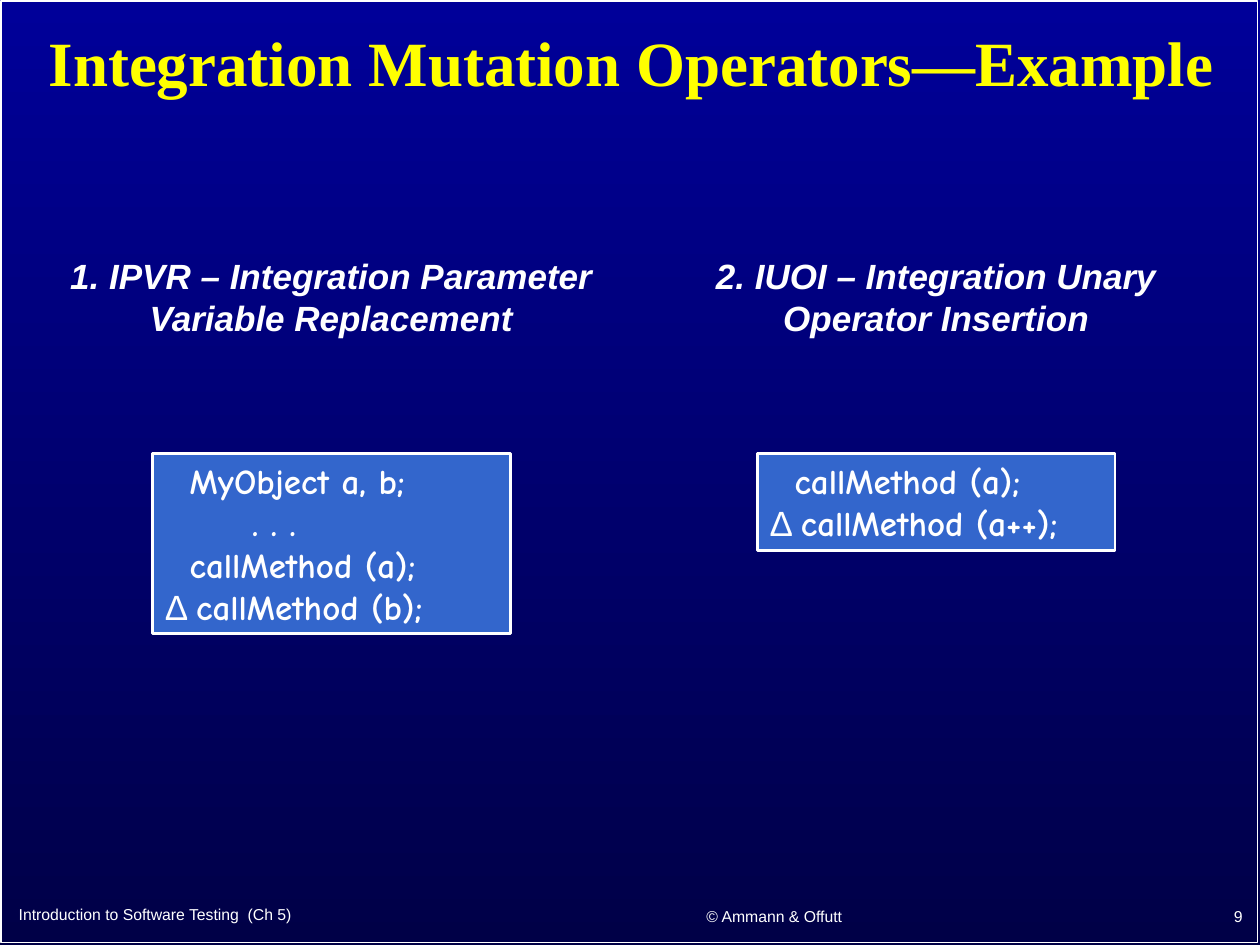
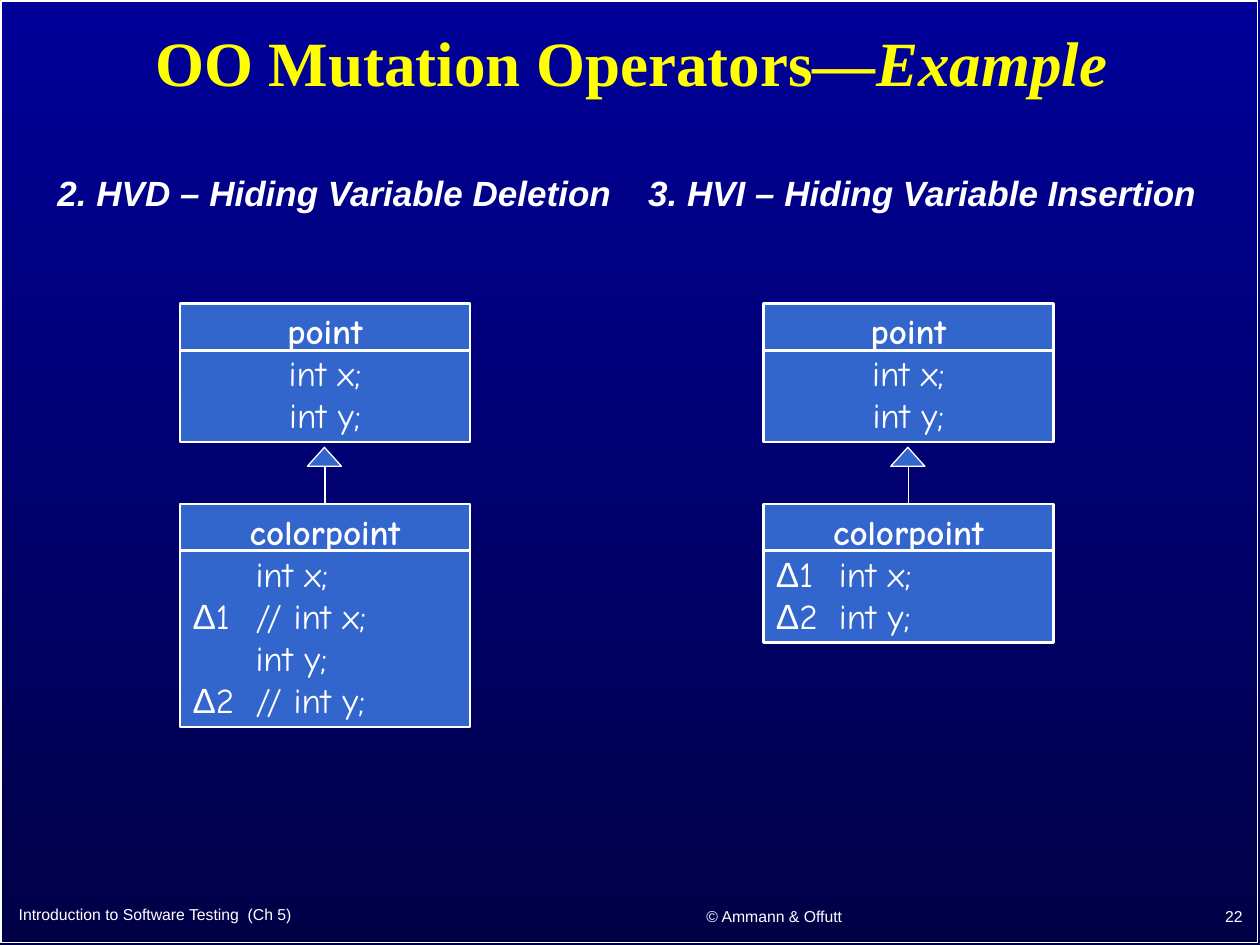
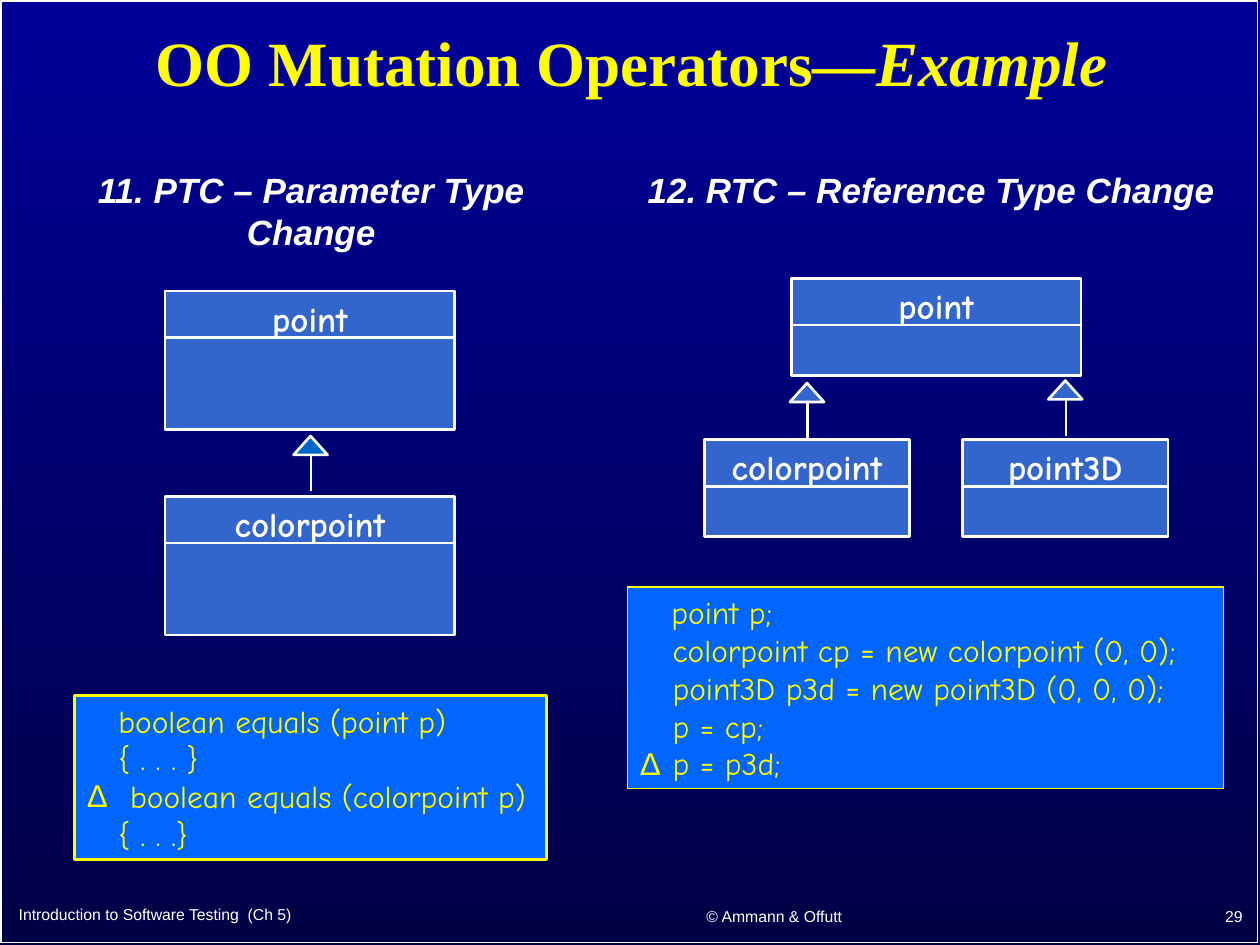
from typing import NamedTuple

from lxml.etree import SubElement
from pptx import Presentation
from pptx.dml.color import RGBColor
from pptx.enum.shapes import MSO_CONNECTOR, MSO_SHAPE
from pptx.enum.text import MSO_ANCHOR, PP_ALIGN
from pptx.oxml.ns import qn
from pptx.util import Inches, Pt

WHITE, YELLOW = "FFFFFF", "FFFF00"
BLUE, BRIGHT, SEA = "3366CC", "0066FF", "0066CC"
TOP, BOTTOM = "000099", "000047"
SANS, SERIF, COMIC = "Arial", "Times New Roman", "Comic Neue"
ALIGN = {"l": PP_ALIGN.LEFT, "c": PP_ALIGN.CENTER, "r": PP_ALIGN.RIGHT}


class Area(NamedTuple):
    x: float
    y: float
    w: float
    h: float


class Label(NamedTuple):
    text: str
    area: Area
    wrap: bool = True


class Class(NamedTuple):
    """A class box: a name over a rule, with members below."""
    name: str
    x: float
    y: float
    rows: int
    w: float = 2.3
    members: tuple = ()
    align: str = "c"


class Arrow(NamedTuple):
    """An inheritance arrow, placed by its tip."""
    x: float
    y: float
    fill: str = BLUE
    weight: float = 1.5


class Code(NamedTuple):
    x: float
    y: float
    w: float
    lines: tuple
    size: int = 20
    bold: bool = False
    color: str = WHITE
    fill: str = BLUE
    weight: float = 1.5
    bullet: int = -1


class Page(NamedTuple):
    title: str
    slant: str
    number: int
    labels: tuple
    classes: tuple = ()
    arrows: tuple = ()
    codes: tuple = ()


def rgb(color: str) -> RGBColor:
    return RGBColor.from_string(color)


def place(area: Area) -> list:
    return [Inches(round(side, 2)) for side in area]


def height(rows: int, size: int) -> float:
    return 0.1 + rows * size / 60


def form(slide, kind, area: Area, fill: str = "", line: str = WHITE, weight: float = 1.5):
    shape = slide.shapes.add_shape(kind, *place(area))
    shape.shadow.inherit = False
    if fill:
        shape.fill.solid()
        shape.fill.fore_color.rgb = rgb(fill)
    else:
        shape.fill.background()
    shape.line.color.rgb = rgb(line)
    shape.line.width = Pt(weight)
    return shape


def rule(slide, x: float, y: float, w: float = 0, h: float = 0, weight: float = 1.5) -> None:
    line = slide.shapes.add_connector(
        MSO_CONNECTOR.STRAIGHT, *place(Area(x, y, x + w, y + h)))
    line.line.color.rgb = rgb(WHITE)
    line.line.width = Pt(weight)
    SubElement(line._element.spPr, qn("a:effectLst"))


def mark(para, bullet: str, tab: float) -> None:
    """Add a hanging bullet or a tab stop to a paragraph."""
    props = para._p.get_or_add_pPr()
    if bullet:
        props.set("marL", str(Inches(tab)))
        props.set("indent", str(-Inches(tab)))
        SubElement(props, qn("a:buFont"), typeface=SANS)
        SubElement(props, qn("a:buChar"), char=bullet)
    elif tab:
        stops = SubElement(props, qn("a:tabLst"))
        SubElement(stops, qn("a:tab"), pos=str(Inches(tab)), algn="l")


def add(para, text: str, *, size: float, font: str, color: str,
        bold: bool = False, italic: bool = False) -> None:
    run = para.add_run()
    run.text = text
    run.font.size = Pt(size)
    run.font.name = font
    run.font.color.rgb = rgb(color)
    run.font.bold = bold
    run.font.italic = italic


def write(shape, *lines: str, size: float = 20, font: str = COMIC, color: str = WHITE,
          bold: bool = False, italic: bool = False, align: str = "l", head: bool = False,
          slant: str = "", tab: float = 0, bullet: int = -1, middle: bool = False,
          wrap: bool = True, space: float = 1) -> None:
    """Fill a shape with lines; a leading Δ is set in Arial, and head marks a class name."""
    frame = shape.text_frame
    frame.word_wrap = wrap
    frame.vertical_anchor = MSO_ANCHOR.MIDDLE if middle else MSO_ANCHOR.TOP
    for at, line in enumerate(lines):
        para = frame.add_paragraph() if at else frame.paragraphs[0]
        name = head and at == 0
        mark(para, "Δ" if at == bullet else "", tab)
        para.alignment = ALIGN["c" if name else align]
        para.line_spacing = space
        look = dict(size=size, color=color)
        body = line.lstrip("Δ ") if line.startswith("Δ") else line
        sign = line[:len(line) - len(body)]
        if sign:
            add(para, sign, font=SANS, **look)
        add(para, body, font=font, bold=bold or name, italic=italic, **look)
        if slant:
            add(para, slant, font=font, bold=bold, italic=True, **look)


def text(slide, area: Area, *lines: str, **style) -> None:
    write(slide.shapes.add_textbox(*place(area)), *lines, **style)


def base(slide, page: Page) -> None:
    """Draw the frame, title and footers."""
    form(slide, MSO_SHAPE.RECTANGLE, Area(0.01, 0.01, 9.97, 7.47), weight=1)
    text(slide, Area(0.19, 0.11, 9.64, 0.83), page.title, slant=page.slant, size=36,
         font=SERIF, color=YELLOW, bold=True, align="c", middle=True, space=0.9)
    feet = (
        (Area(0.05, 7.11, 4.24, 0.3), "Introduction to Software Testing  (Ch 5)", "l"),
        (Area(4.56, 7.12, 3.17, 0.31), "© Ammann & Offutt", "c"),
        (Area(7.88, 7.11, 2.08, 0.32), str(page.number), "r"),
    )
    for area, words, align in feet:
        text(slide, area, words, size=9, font=SANS, align=align, middle=True)


def draw_class(slide, item: Class) -> None:
    area = Area(item.x, item.y, item.w, height(item.rows, 20))
    shape = form(slide, MSO_SHAPE.RECTANGLE, area, BLUE)
    write(shape, item.name, *item.members, align=item.align, head=True,
          tab=0.5 if item.align == "l" else 0)
    rule(slide, item.x, item.y + 0.37, w=item.w)


def draw_arrow(slide, item: Arrow) -> None:
    rule(slide, item.x, item.y + 0.15, h=0.29, weight=item.weight)
    form(slide, MSO_SHAPE.ISOSCELES_TRIANGLE, Area(item.x - 0.14, item.y, 0.27, 0.15),
         item.fill, weight=item.weight)


def draw_code(slide, item: Code) -> None:
    area = Area(item.x, item.y, item.w, height(len(item.lines), item.size))
    shape = form(slide, MSO_SHAPE.RECTANGLE, area, item.fill, item.color, item.weight)
    write(shape, *item.lines, size=item.size, color=item.color, bold=item.bold,
          tab=0.26, bullet=item.bullet)


def draw(slide, page: Page) -> None:
    base(slide, page)
    for label in page.labels:
        text(slide, label.area, label.text, font=SANS, bold=True, italic=True,
             align="c", wrap=label.wrap)
    for item in page.classes:
        draw_class(slide, item)
    for item in page.arrows:
        draw_arrow(slide, item)
    for item in page.codes:
        draw_code(slide, item)


FIELDS = ("int x;", "int y;")
NOTE = dict(size=18, color=YELLOW, fill=BRIGHT)

PAGES = (
    Page(
        "Integration Mutation Operators—Example", "", 9,
        labels=(
            Label("1. IPVR – Integration Parameter Variable Replacement",
                  Area(0.4, 1.97, 4.46, 0.77)),
            Label("2. IUOI – Integration Unary Operator Insertion",
                  Area(5.26, 1.97, 4.34, 0.77)),
        ),
        codes=(
            Code(1.21, 3.6, 2.84, ("  MyObject a, b;", "       . . .",
                                   "  callMethod (a);", "Δ callMethod (b);"), bold=True),
            Code(6.01, 3.6, 2.84, ("  callMethod (a);", "Δ callMethod (a++);"), bold=True),
        ),
    ),
    Page(
        "OO Mutation Operators—", "Example", 22,
        labels=(
            Label("2. HVD – Hiding Variable Deletion", Area(0.35, 1.31, 4.61, 0.44), False),
            Label("3. HVI – Hiding Variable Insertion", Area(5.04, 1.31, 4.56, 0.44), False),
        ),
        classes=(
            Class("point", 1.43, 2.41, 3, members=FIELDS),
            Class("colorpoint", 1.43, 4, 5, align="l",
                  members=("\tint x;", "Δ1\t// int x;", "\tint y;", "Δ2\t// int y;")),
            Class("point", 6.06, 2.41, 3, members=FIELDS),
            Class("colorpoint", 6.06, 4, 3, align="l", members=("Δ1\tint x;", "Δ2\tint y;")),
        ),
        arrows=(Arrow(2.58, 3.55, weight=0.75), Arrow(7.21, 3.55, weight=0.75)),
    ),
    Page(
        "OO Mutation Operators—", "Example", 29,
        labels=(
            Label("11. PTC – Parameter Type Change", Area(0.13, 1.29, 4.68, 0.77)),
            Label("12. RTC – Reference Type Change", Area(4.9, 1.29, 4.98, 0.44)),
        ),
        classes=(
            Class("point", 1.31, 2.31, 3),
            Class("colorpoint", 1.31, 3.94, 3),
            Class("point", 6.28, 2.21, 2),
            Class("colorpoint", 5.59, 3.49, 2, w=1.63),
            Class("point3D", 7.64, 3.49, 2, w=1.63),
        ),
        arrows=(Arrow(2.47, 3.46, SEA), Arrow(6.41, 3.04), Arrow(8.46, 3.02)),
        codes=(
            Code(0.59, 5.52, 3.75, ("   boolean equals (point p)", "   { . . . }",
                                    " boolean equals (colorpoint p)", "   { . . .}"),
                 bullet=2, **NOTE),
            Code(4.98, 4.66, 4.73, ("   point p;", "\tcolorpoint cp = new colorpoint (0, 0);",
                                    "\tpoint3D p3d = new point3D (0, 0, 0);",
                                    "\tp = cp;", "Δ\tp = p3d;"), weight=0.75, **NOTE),
        ),
    ),
)


def main() -> None:
    deck = Presentation()
    deck.slide_width, deck.slide_height = Inches(10), Inches(7.5)
    for page in PAGES:
        slide = deck.slides.add_slide(deck.slide_layouts[6])
        back = slide.background.fill
        back.gradient()
        back.gradient_angle = 270
        for stop, color in zip(back.gradient_stops, (TOP, BOTTOM)):
            stop.color.rgb = rgb(color)
        draw(slide, page)
    deck.save("out.pptx")


if __name__ == "__main__":
    main()
